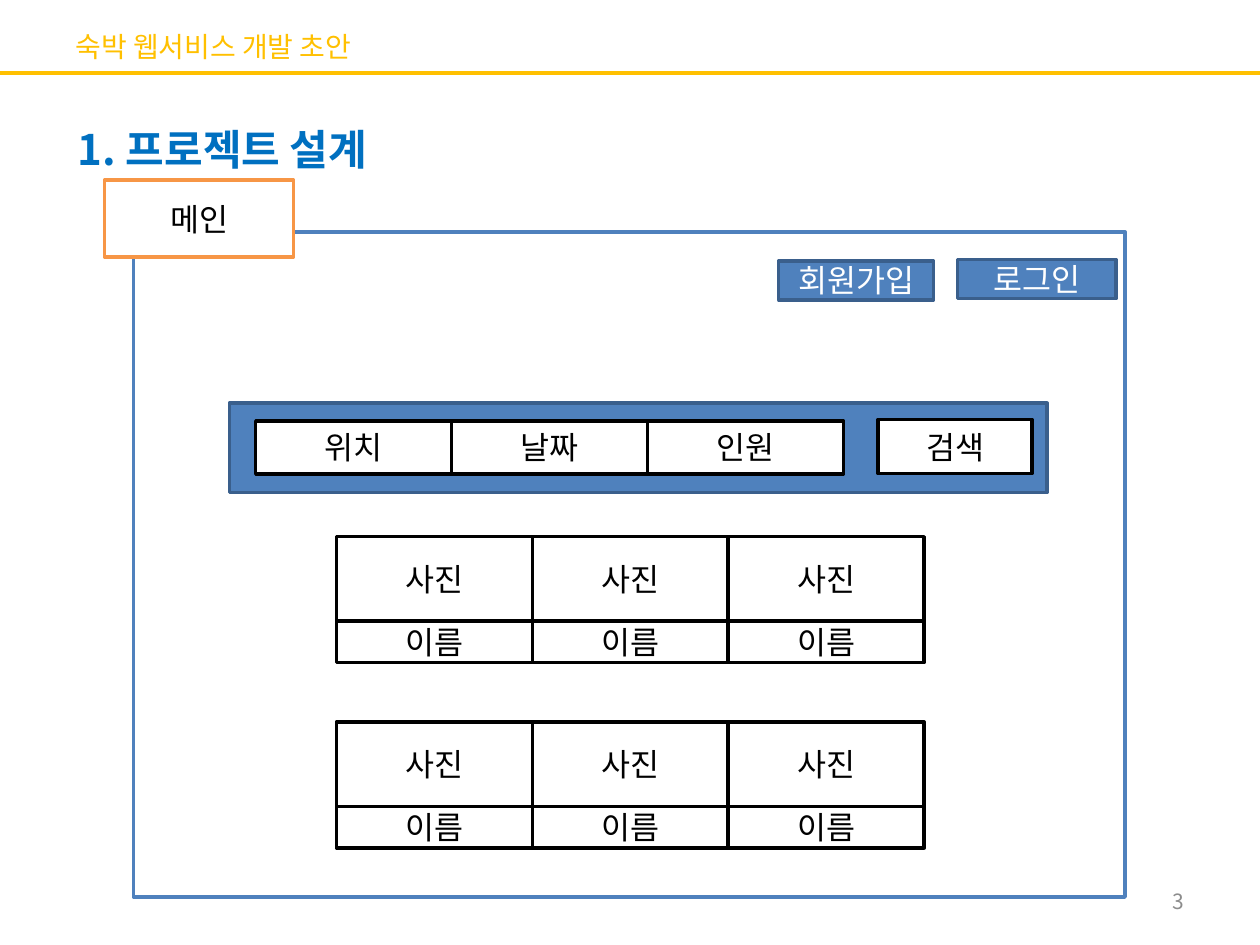
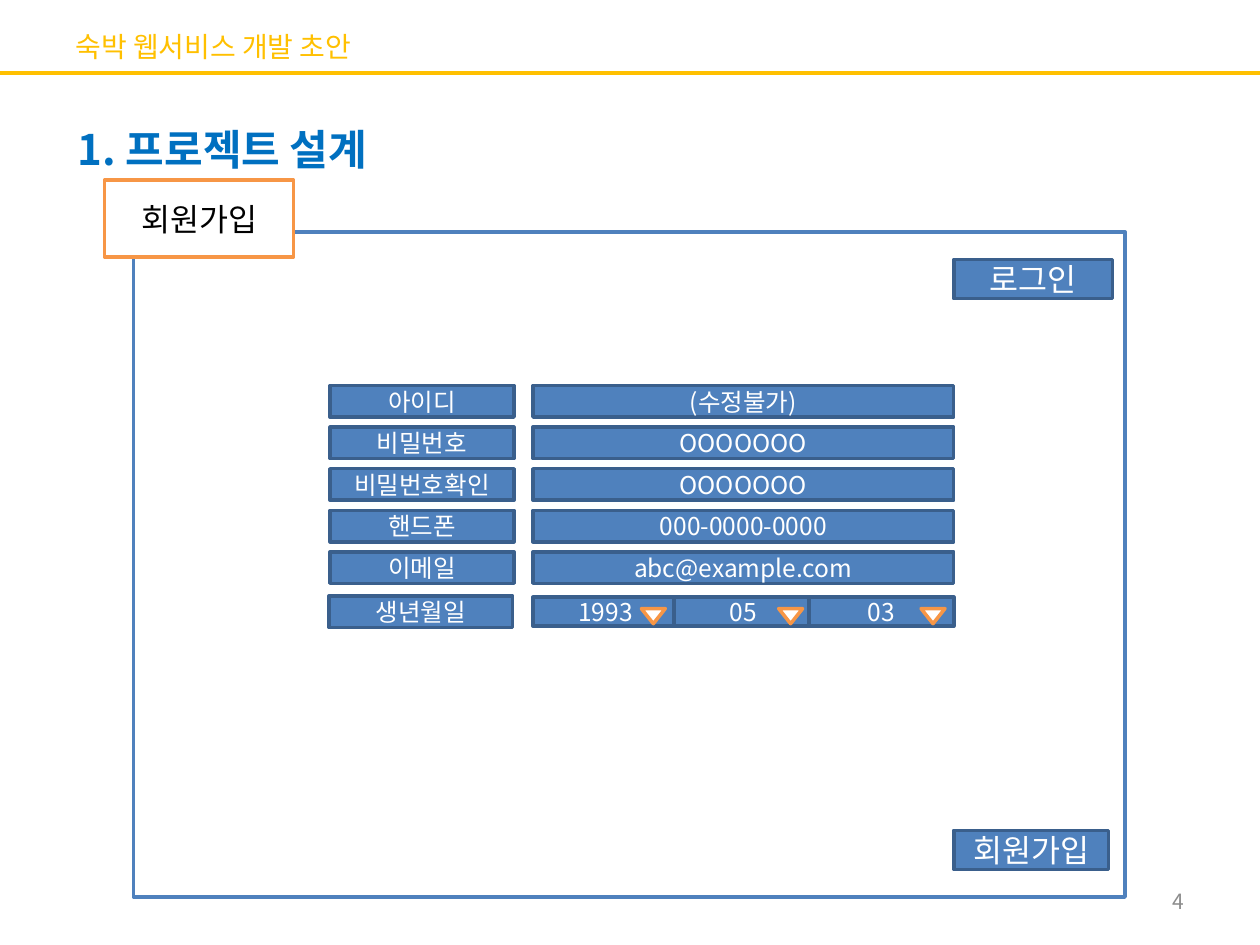
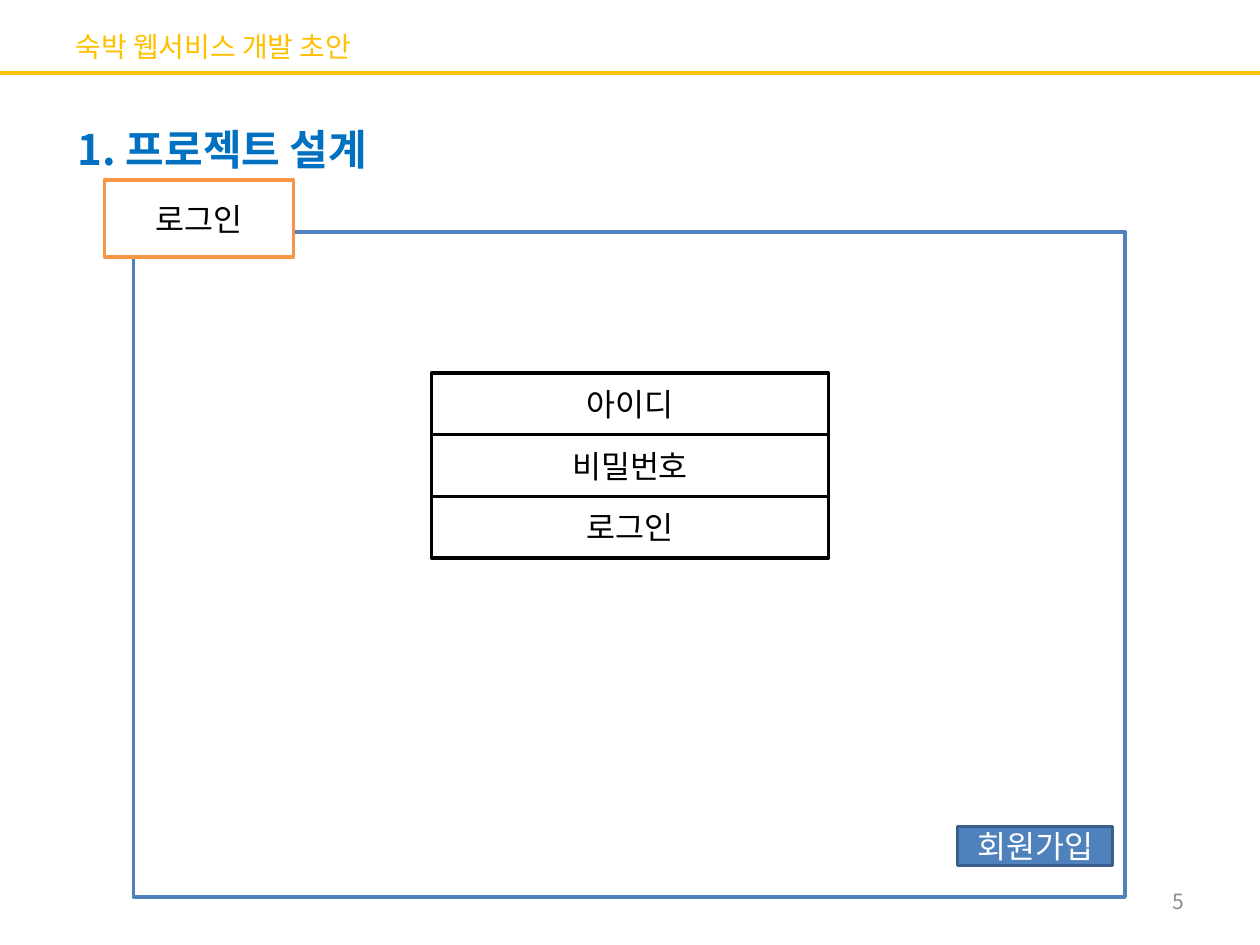
"""Builds three wireframe slides for a lodging web service: main, sign-up and login."""
from lxml import etree
from pptx import Presentation
from pptx.dml.color import RGBColor
from pptx.enum.shapes import MSO_CONNECTOR, MSO_SHAPE
from pptx.enum.text import MSO_ANCHOR, MSO_AUTO_SIZE, PP_ALIGN
from pptx.oxml.ns import qn
from pptx.util import Inches, Pt

RECT, TRIANGLE = MSO_SHAPE.RECTANGLE, MSO_SHAPE.FLOWCHART_MERGE
LEFT, CENTER, RIGHT = PP_ALIGN.LEFT, PP_ALIGN.CENTER, PP_ALIGN.RIGHT
TOP, MIDDLE = MSO_ANCHOR.TOP, MSO_ANCHOR.MIDDLE
STRAIGHT, NO_FIT = MSO_CONNECTOR.STRAIGHT, MSO_AUTO_SIZE.NONE

FONT = "Noto Sans CJK KR"
WIDTH, HEIGHT = 10, 7.5
FIRST_PAGE = 3
COLORS = {"white": "FFFFFF", "black": "000000", "gold": "FFC000", "heading": "0070C0",
          "blue": "4F81BD", "navy": "3A5F8C", "orange": "F79646", "gray": "8C8C8C"}
STYLES = {
    "frame": ("white", "blue", "black"),
    "tab": ("white", "orange", "black"),
    "button": ("blue", "navy", "white"),
    "cell": ("white", "black", "black"),
}

DECK_TITLE = "숙박 웹서비스 개발 초안"
HEADING = "1. 프로젝트 설계"
SEARCH_FIELDS = ["위치", "날짜", "인원"]
CARD_ROWS = [("사진", 0.67), ("이름", 0.33)]
CARD_COLUMNS = 3
CARD_TOPS = [4.26, 5.73]
SIGNUP_ROWS = [
    ("아이디", "(수정불가)"),
    ("비밀번호", "OOOOOOO"),
    ("비밀번호확인", "OOOOOOO"),
    ("핸드폰", "000-0000-0000"),
    ("이메일", "abc@example.com"),
]
BIRTH_LABEL = "생년월일"
BIRTH_PARTS = [("1993", 4.23, 1.15, 5.09), ("05", 5.35, 1.1, 6.18), ("03", 6.42, 1.15, 7.31)]
LOGIN_ROWS = ["아이디", "비밀번호", "로그인"]


def rgb(name):
    return RGBColor.from_string(COLORS[name])


def write(shape, text, size, color, align=CENTER, anchor=MIDDLE, bold=False, wrap=True):
    tf = shape.text_frame
    for key, value in {"auto_size": NO_FIT, "word_wrap": wrap, "vertical_anchor": anchor}.items():
        setattr(tf, key, value)
    p = tf.paragraphs[0]
    p.alignment = align
    r = p.add_run()
    r.text = text
    for key, value in {"name": FONT, "size": Pt(size), "bold": bold}.items():
        setattr(r.font, key, value)
    r.font.color.rgb = rgb(color)
    etree.SubElement(r.font._element, qn("a:ea"), typeface=FONT)


def add_box(s, style, x, y, w, h, text="", size=18, kind=RECT):
    fill, line, color = STYLES[style]
    sp = s.shapes.add_shape(kind, *map(Inches, (x, y, w, h)))
    sp.shadow.inherit = False
    sp.fill.solid()
    sp.fill.fore_color.rgb = rgb(fill)
    sp.line.color.rgb = rgb(line)
    sp.line.width = Pt(2)
    if text:
        write(sp, text, size, color)


def add_label(s, x, y, w, h, text, size, color, **layout):
    write(s.shapes.add_textbox(*map(Inches, (x, y, w, h))), text, size, color, **layout)


def add_page(prs, page, name):
    s = prs.slides.add_slide(prs.slide_layouts[5])
    title = s.shapes.title
    for key, value in {"left": 0.5, "top": 0.13, "width": 9, "height": 0.47}.items():
        setattr(title, key, Inches(value))
    write(title, DECK_TITLE, 16, "gold", LEFT)
    rule = s.shapes.add_connector(STRAIGHT, 0, Inches(0.58), Inches(WIDTH), Inches(0.58))
    rule.line.color.rgb = rgb("gold")
    rule.line.width = Pt(2.25)
    etree.SubElement(rule._element.spPr, qn("a:effectLst"))
    add_label(s, 0.52, 0.93, 2.74, 0.5, HEADING, 24, "heading",
              align=LEFT, anchor=TOP, bold=True, wrap=False)
    add_label(s, 7.17, 6.95, 2.33, 0.4, str(page), 12, "gray", align=RIGHT)
    add_box(s, "frame", 1.06, 1.84, 7.87, 5.28)
    add_box(s, "tab", 0.83, 1.43, 1.5, 0.61, name)
    return s


def draw_main(s):
    column = 1.555
    add_box(s, "button", 6.18, 2.07, 1.23, 0.31, "회원가입")
    add_box(s, "button", 7.6, 2.06, 1.26, 0.31, "로그인")
    add_box(s, "button", 1.82, 3.2, 6.49, 0.71)
    for i, field in enumerate(SEARCH_FIELDS):
        add_box(s, "cell", 2.03 + i * column, 3.34, column, 0.42, field)
    add_box(s, "cell", 6.97, 3.33, 1.22, 0.43, "검색")
    for y in CARD_TOPS:
        for text, h in CARD_ROWS:
            for i in range(CARD_COLUMNS):
                add_box(s, "cell", 2.67 + i * column, y, column, h, text)
            y += h


def draw_signup(s):
    top, pitch, h = 3.06, 0.33, 0.25
    add_box(s, "button", 7.57, 2.06, 1.26, 0.31, "로그인")
    add_box(s, "button", 7.57, 6.59, 1.23, 0.31, "회원가입")
    for i, (label, value) in enumerate(SIGNUP_ROWS):
        y = top + i * pitch
        add_box(s, "button", 2.62, y, 1.46, h, label, 14)
        add_box(s, "button", 4.23, y, 3.34, h, value, 14)
    add_box(s, "button", 2.61, 4.73, 1.46, h, BIRTH_LABEL, 14)
    for text, x, w, arrow_x in BIRTH_PARTS:
        add_box(s, "button", x, 4.74, w, 0.23, text, 14)
        add_box(s, "tab", arrow_x, 4.83, 0.19, 0.12, kind=TRIANGLE)


def draw_login(s):
    w, h = 3.15, 0.49
    for i, text in enumerate(LOGIN_ROWS):
        add_box(s, "cell", (WIDTH - w) / 2, 2.96 + i * h, w, h, text)
    add_box(s, "button", 7.6, 6.56, 1.23, 0.31, "회원가입")


PAGES = [("메인", draw_main), ("회원가입", draw_signup), ("로그인", draw_login)]


def main():
    prs = Presentation()
    prs.slide_width, prs.slide_height = Inches(WIDTH), Inches(HEIGHT)
    for page, (name, draw) in enumerate(PAGES, FIRST_PAGE):
        draw(add_page(prs, page, name))
    prs.save("out.pptx")


if __name__ == "__main__":
    main()
